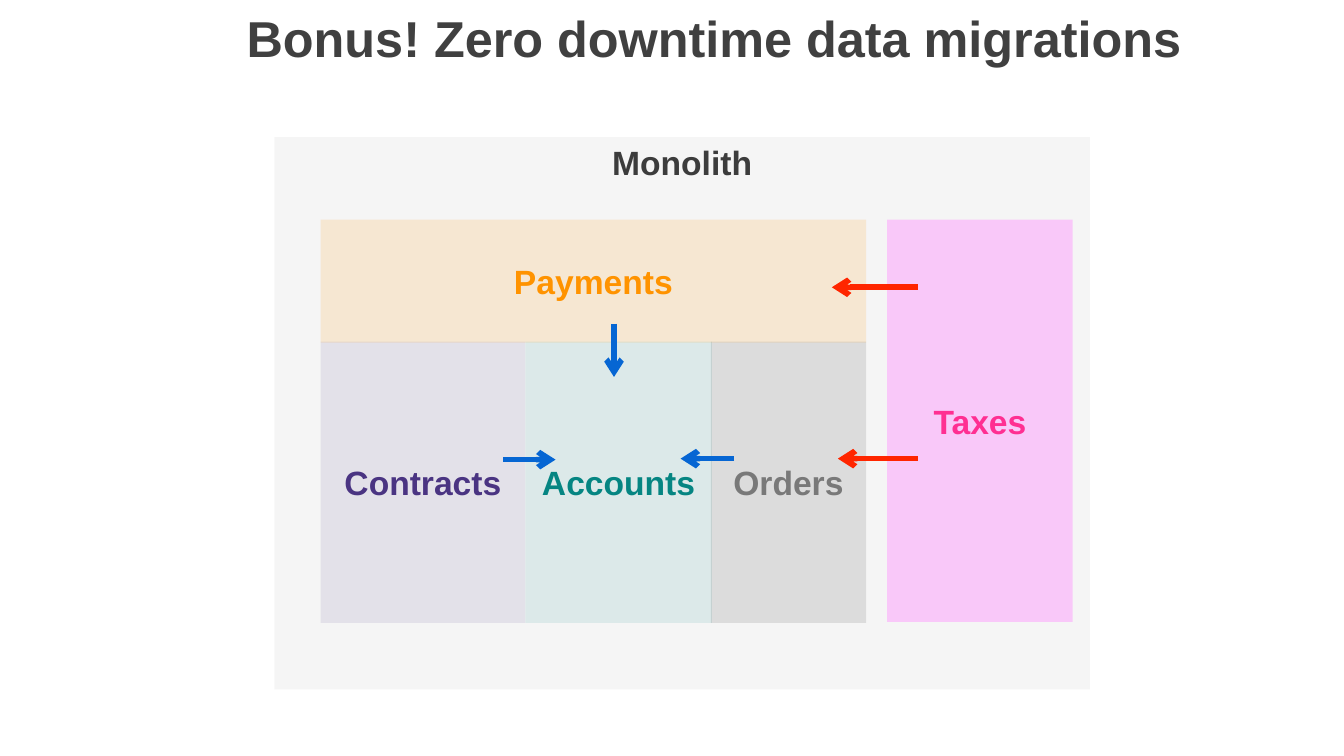
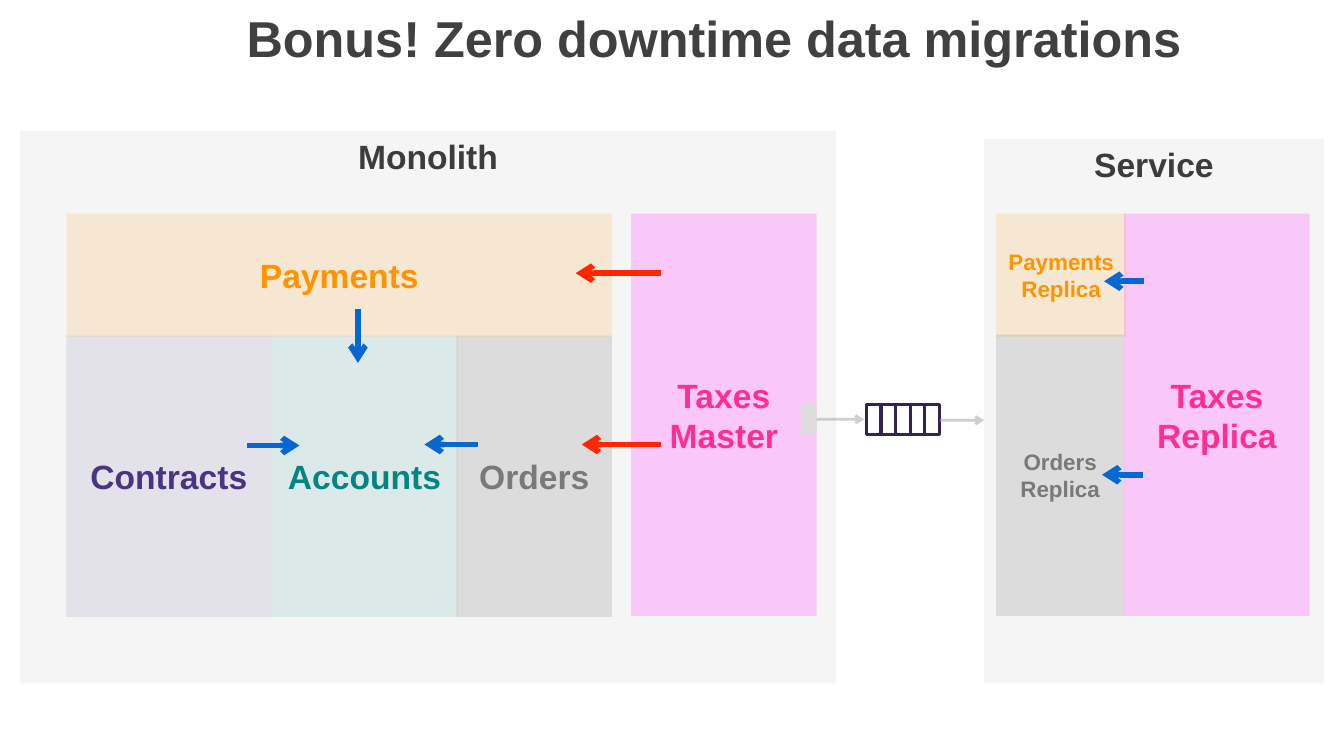
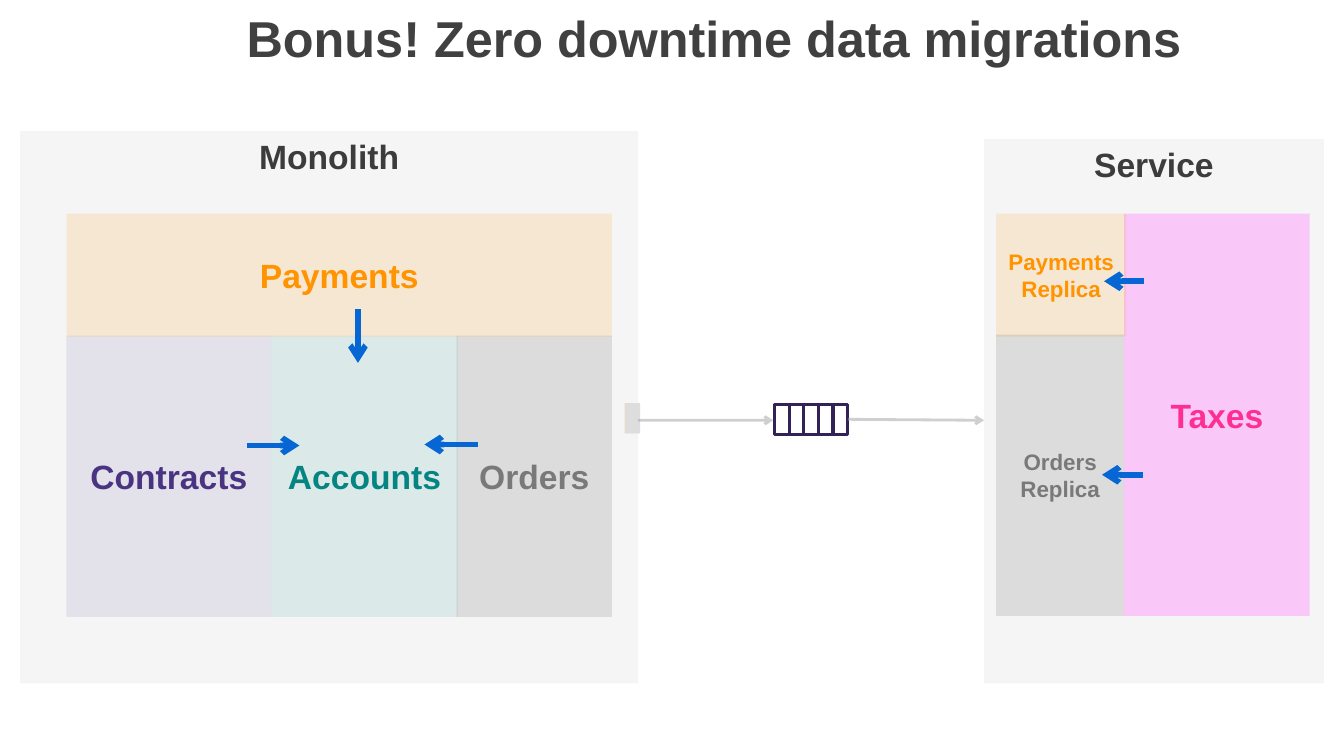
from pptx import Presentation
from pptx.dml.color import RGBColor
from pptx.enum.shapes import MSO_CONNECTOR, MSO_SHAPE
from pptx.enum.text import MSO_ANCHOR, MSO_AUTO_SIZE, PP_ALIGN
from pptx.oxml.ns import qn
from pptx.oxml.xmlchemy import OxmlElement
from pptx.util import Inches, Pt

RECT = MSO_SHAPE.RECTANGLE
STRAIGHT = MSO_CONNECTOR.STRAIGHT
TOP, MIDDLE, BOTTOM = MSO_ANCHOR.TOP, MSO_ANCHOR.MIDDLE, MSO_ANCHOR.BOTTOM
CENTER = PP_ALIGN.CENTER
NO_AUTOFIT = MSO_AUTO_SIZE.NONE

FONT = "Arial"
TITLE = "Bonus! Zero downtime data migrations"
TITLE_COLOR, PANEL_TEXT = "404040", "3C3C3C"
GREY, RED, BLUE, NAVY = "A6A6A6", "FF2600", "0666D3", "322256"
PURPLE, TEAL, ORANGE = "4A3482", "058582", "FF9300"
BLACK, ORDERS_TEXT = "000000", "797979"
PINK, PINK_TEXT = "FF85FF", "FF2F92"
MARKER, MARKER_EDGE = "DDDDDD", "F9EAD5"


def paint(fill, color, opacity=100):
    fill.solid()
    fill.fore_color.rgb = RGBColor.from_string(color)
    if opacity < 100:
        alpha = OxmlElement("a:alpha")
        alpha.set("val", str(opacity * 1000))
        fill._xPr.find(qn("a:solidFill"))[0].append(alpha)


def box(s, x, y, w, h, text="", fill=None, opacity=100, line=None,
        color=BLACK, size=24, anchor=MIDDLE):
    sp = s.shapes.add_shape(RECT, Inches(x), Inches(y), Inches(w), Inches(h))
    sp.shadow.inherit = False
    if fill:
        paint(sp.fill, fill, opacity)
    else:
        sp.fill.background()
    if line:
        paint(sp.line.fill, line)
        sp.line.width = Pt(2)
    else:
        sp.line.fill.background()
    if text:
        tf = sp.text_frame
        tf.word_wrap = True
        tf.vertical_anchor = anchor
        tf.text = text
        for p in tf.paragraphs:
            p.alignment = CENTER
            font = p.runs[0].font
            font.name, font.size, font.bold = FONT, Pt(size), True
            paint(font.fill, color)


# Monolith modules, relative to the panel: x, y, w, h, text, fill, opacity, text colour
MODULES = [
    (0.46, 2.03, 2.03, 2.79, "Contracts", PURPLE, 10, PURPLE),
    (2.49, 2.03, 1.85, 2.79, "Accounts", TEAL, 10, TEAL),
    (4.33, 2.03, 1.54, 2.79, "Orders", BLACK, 10, ORDERS_TEXT),
    (0.46, 0.82, 5.41, 1.22, "Payments", ORANGE, 14, ORANGE),
]

# Dependency arrows: x1, y1, x2, y2
MODULE_ARROWS = [
    (4.74, 4.41, 4.21, 4.41),
    (2.45, 4.42, 2.97, 4.42),
    (3.55, 3.07, 3.55, 3.6),
]
TAX_ARROWS = [(6.56, 2.71, 5.71, 2.71), (6.56, 4.41, 5.77, 4.41)]
SERVICE_ARROWS = [(11.35, 2.79, 10.95, 2.79), (11.34, 4.71, 10.93, 4.71)]

SLIDES = [
    dict(panel=(2.72, 1.36, 8.09), shift=(2.54, 0.14), taxes="Taxes", taxes_x=8.8),
    dict(panel=(0.2, 1.3, 8.09), shift=(0, 0), taxes="Taxes\nMaster", taxes_x=6.26,
         service="Taxes\nReplica", queue_x=8.59,
         markers=[(7.95, 4.01, MARKER)],
         links=[(8.1, 4.16, 8.57, 4.16), (9.32, 4.17, 9.76, 4.17)]),
    dict(panel=(0.2, 1.3, 6.13), shift=(0, 0), service="Taxes", queue_x=7.68,
         markers=[(6.19, 4, MARKER_EDGE), (6.2, 4, MARKER)],
         links=[(6.33, 4.17, 7.67, 4.17), (8.41, 4.16, 9.76, 4.17)]),
]

prs = Presentation()
prs.slide_width, prs.slide_height = Inches(13.33), Inches(7.5)
layout = prs.slide_layouts[5]

for spec_row in SLIDES:
    s = prs.slides.add_slide(layout)
    px, py, pw = spec_row["panel"]
    dx, dy = spec_row["shift"]
    service = spec_row.get("service")
    taxes = spec_row.get("taxes")

    # Title
    title = s.shapes.title
    title.left, title.top = Inches(2.31), Inches(0)
    title.width, title.height = Inches(9.55), Inches(0.68)
    tf = title.text_frame
    tf.text = TITLE
    tf.auto_size = NO_AUTOFIT
    tf.word_wrap = True
    tf.vertical_anchor = BOTTOM
    tf.margin_left = tf.margin_right = tf.margin_top = tf.margin_bottom = 0
    p = tf.paragraphs[0]
    p.alignment, p.line_spacing = CENTER, 0.9
    r = p.runs[0]
    r.font.name, r.font.size, r.font.bold = FONT, Pt(36), True
    paint(r.font.fill, TITLE_COLOR)

    # Monolith
    box(s, px, py, pw, 5.48, "Monolith", fill=GREY, opacity=10,
        color=PANEL_TEXT, anchor=TOP)
    for x, y, w, h, text, fill, opacity, color in MODULES:
        box(s, px + x, py + y, w, h, text, fill=fill, opacity=opacity, color=color)
    if taxes:
        box(s, spec_row["taxes_x"], py + 0.82, 1.84, 3.99, taxes,
            fill=PINK, opacity=40, color=PINK_TEXT)

    # Service and queue
    if service:
        box(s, 9.76, 1.38, 3.37, 5.4, "Service", fill=GREY, opacity=10,
            color=PANEL_TEXT, anchor=TOP)
        box(s, 11.15, 2.12, 1.84, 3.99, service, fill=PINK, opacity=40, color=PINK_TEXT)
        box(s, 9.88, 2.12, 1.29, 1.22, "Payments\nReplica", fill=ORANGE, opacity=14,
            color=ORANGE, size=16)
        box(s, 9.88, 3.32, 1.27, 2.79, "Orders\nReplica", fill=BLACK, opacity=10,
            color=ORDERS_TEXT, size=16)
        for i in range(5):
            box(s, spec_row["queue_x"] + i * 0.145, 4.01, 0.15, 0.3, line=NAVY)
        for x, y, fill in spec_row["markers"]:
            box(s, x, y, 0.15, 0.3, fill=fill)

    # Arrows
    arrows = [(a, BLUE, 4, 100, dx, dy) for a in MODULE_ARROWS]
    if taxes:
        arrows += [(a, RED, 4, 100, dx, dy) for a in TAX_ARROWS]
    if service:
        arrows += [(a, BLUE, 4, 100, 0, 0) for a in SERVICE_ARROWS]
        arrows += [(a, GREY, 2, 53, 0, 0) for a in spec_row["links"]]
    for (x1, y1, x2, y2), color, width, opacity, ax, ay in arrows:
        c = s.shapes.add_connector(STRAIGHT, Inches(x1 + ax), Inches(y1 + ay),
                                   Inches(x2 + ax), Inches(y2 + ay))
        c.line.width = Pt(width)
        paint(c.line.fill, color, opacity)
        tail = OxmlElement("a:tailEnd")
        tail.set("type", "arrow")
        c.line._get_or_add_ln().append(tail)
        c._element.spPr.append(OxmlElement("a:effectLst"))

prs.save("out.pptx")
